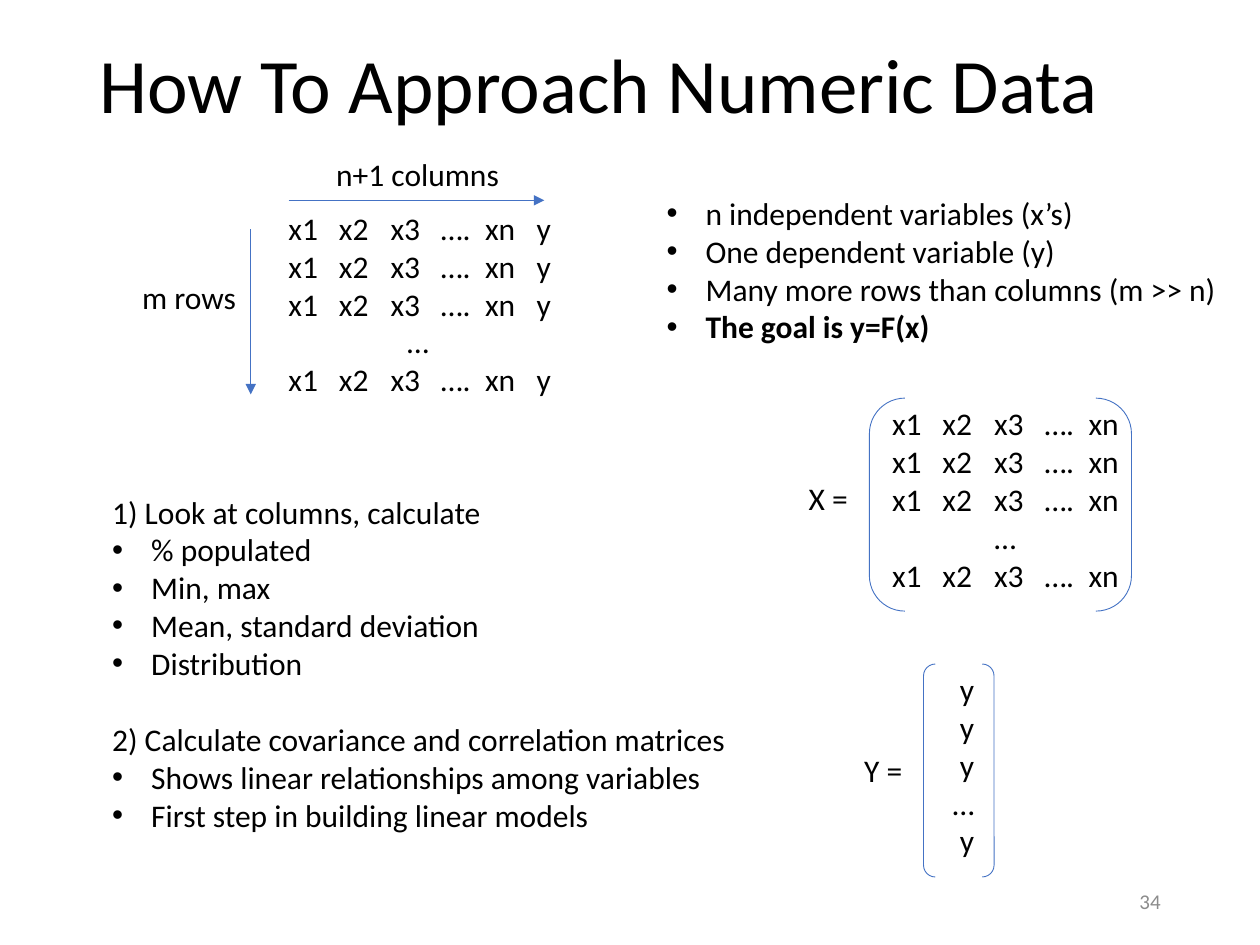
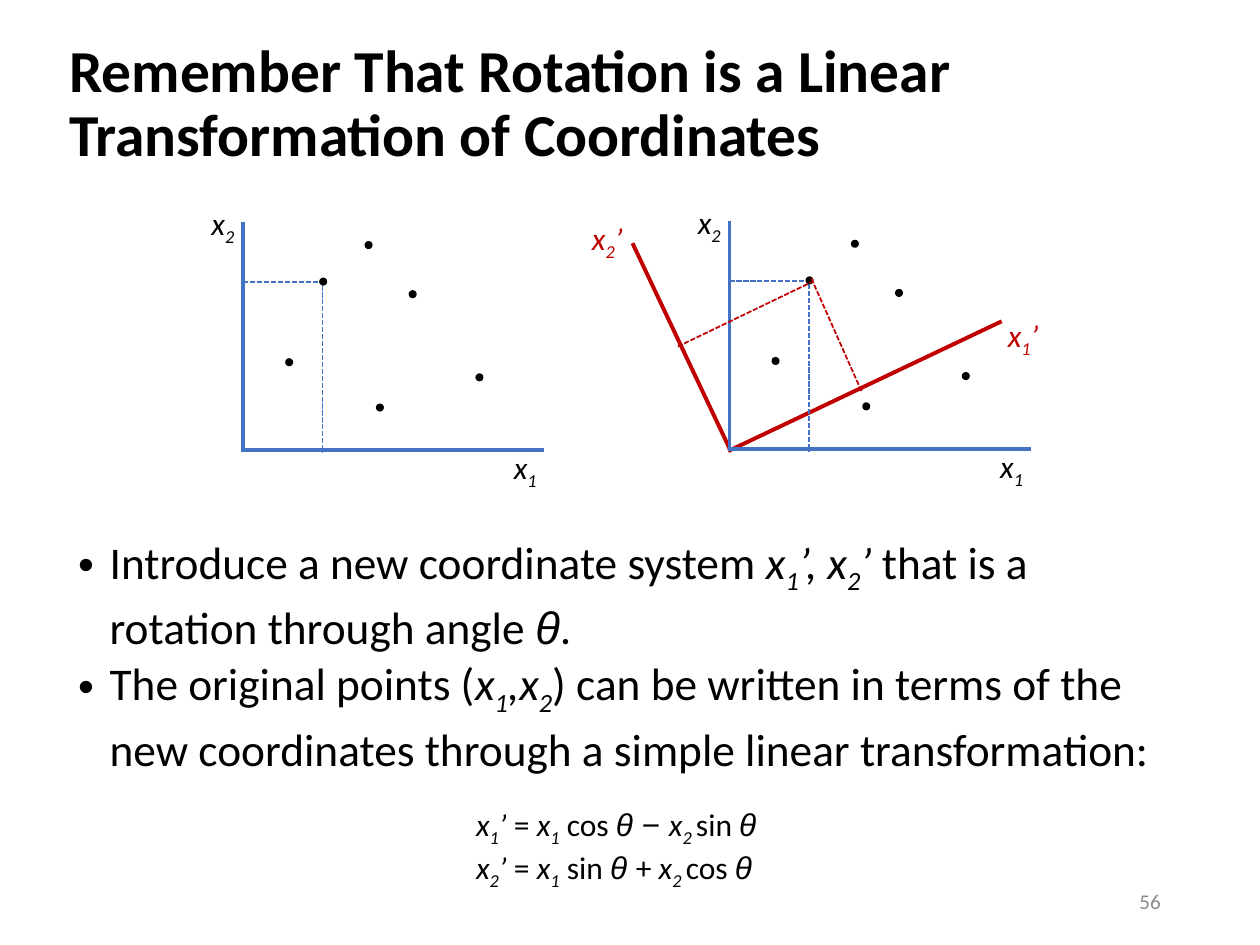
from dataclasses import dataclass

from lxml import etree
from pptx import Presentation
from pptx.dml.color import RGBColor
from pptx.enum.dml import MSO_LINE
from pptx.enum.shapes import MSO_CONNECTOR, MSO_SHAPE
from pptx.enum.text import MSO_ANCHOR, MSO_AUTO_SIZE, PP_ALIGN
from pptx.oxml.ns import qn
from pptx.util import Inches, Pt

STRAIGHT = MSO_CONNECTOR.STRAIGHT
DASH = MSO_LINE.SQUARE_DOT
DOT, BRACKET = MSO_SHAPE.OVAL, MSO_SHAPE.DOUBLE_BRACKET
MIDDLE, TOP = MSO_ANCHOR.MIDDLE, MSO_ANCHOR.TOP
FIT, FIXED = MSO_AUTO_SIZE.SHAPE_TO_FIT_TEXT, MSO_AUTO_SIZE.NONE
LEFT, MID, RIGHT = PP_ALIGN.LEFT, PP_ALIGN.CENTER, PP_ALIGN.RIGHT


@dataclass(frozen=True)
class Theme:
    """Colours, fonts and type sizes of both slides."""
    ink: RGBColor = RGBColor(0, 0, 0)
    gray: RGBColor = RGBColor(0x8C, 0x8C, 0x8C)
    blue: RGBColor = RGBColor(0x44, 0x72, 0xC4)
    red: RGBColor = RGBColor(0xC0, 0, 0)
    font: str = "Calibri"
    greek: str = "Arial"
    head: float = 44
    subhead: float = 34
    body: float = 25.9
    text: float = 18
    note: float = 12
    thin: float = 0.5
    fine: float = 1
    thick: float = 2.25


THEME = Theme()
TABS = (0.4, 0.81, 1.21, 1.56, 1.97)
POINTS = ((2.27, 2.85), (3.25, 2.31), (3.78, 2.97),
          (2.99, 3.21), (2.9, 1.92), (2.54, 2.21))


def place(shape, left, top, width, height):
    """Move and size a shape, in inches."""
    shape.left, shape.top = Inches(left), Inches(top)
    shape.width, shape.height = Inches(width), Inches(height)


def write(par, text, size=THEME.text, color=THEME.ink, align=LEFT):
    """Fill a paragraph; * toggles italic, ~ subscript, ^ Greek font, # bold."""
    par.alignment = align
    state = dict.fromkeys("*~^#", False)
    part = ""
    for char in text + "*":
        if char not in state:
            part += char
            continue
        if part:
            run = par.add_run()
            run.text = part
            font = run.font
            font.size, font.color.rgb = Pt(size), color
            font.name = THEME.greek if state["^"] else THEME.font
            font.italic, font.bold = state["*"], state["#"]
            if state["~"]:
                font._element.set("baseline", "-25000")
            part = ""
        state[char] = not state[char]


def fill(frame, lines, **style):
    """Write one paragraph for each line and return the paragraphs."""
    for line in lines[1:]:
        frame.add_paragraph()
    for par, line in zip(frame.paragraphs, lines):
        write(par, line, **style)
    return frame.paragraphs


def bullet(par, indent):
    """Give a paragraph a hanging bullet, or none when indent is 0."""
    props = par._p.get_or_add_pPr()
    props.set("marL", str(Inches(indent)))
    props.set("indent", str(-Inches(indent)))
    if indent:
        etree.SubElement(props, qn("a:buFont")).set("typeface", "Arial")
        etree.SubElement(props, qn("a:buChar")).set("char", "•")
    else:
        etree.SubElement(props, qn("a:buNone"))


def title(slide, text, box, size):
    """Set the title placeholder."""
    shape = slide.shapes.title
    place(shape, *box)
    frame = shape.text_frame
    frame.auto_size, frame.vertical_anchor = FIXED, MIDDLE
    frame.word_wrap = True
    fill(frame, [text], size=size)[0].line_spacing = 0.9


def bullets(shape, lines, box, indent=0.31, size=THEME.text):
    """Set a body placeholder; lines that start with a digit are headings."""
    place(shape, *box)
    frame = shape.text_frame
    frame.auto_size, frame.vertical_anchor = FIXED, TOP
    frame.word_wrap = True
    pars = fill(frame, lines, size=size)
    for par, line in zip(pars, lines):
        step = line[0].isdigit()
        par.space_before = Pt(22 if step and par is not pars[0] else 0)
        par.space_after = Pt(0)
        par.line_spacing = 1.0
        bullet(par, 0 if step else indent)
    pars[0].space_before = Pt(0)
    return pars


def label(slide, lines, box, **style):
    """Add an unwrapped text box that fits its text."""
    shape = slide.shapes.add_textbox(*map(Inches, box))
    frame = shape.text_frame
    frame.word_wrap, frame.auto_size = False, FIT
    fill(frame, lines, **style)


def number(slide, text):
    """Add the page number in the footer."""
    shape = slide.shapes.add_textbox(*map(Inches, (7.06, 6.95, 2.25, 0.4)))
    frame = shape.text_frame
    frame.word_wrap, frame.vertical_anchor = True, MIDDLE
    fill(frame, [text], size=THEME.note, color=THEME.gray, align=RIGHT)


def grid(slide, names, box):
    """Add matrix rows, with columns set on tab stops."""
    shape = slide.shapes.add_textbox(*map(Inches, box))
    frame = shape.text_frame
    frame.word_wrap, frame.margin_left = True, Inches(0.13)
    row = "\t".join(names)
    for par in fill(frame, [row, row, row, "… ", row]):
        if par.text == "… ":
            par.alignment = MID
            continue
        stops = etree.SubElement(par._p.get_or_add_pPr(), qn("a:tabLst"))
        for pos in TABS[:len(names) - 1]:
            stop = etree.SubElement(stops, qn("a:tab"))
            stop.set("pos", str(Inches(pos)))
            stop.set("algn", "l")


def line(slide, start, end, color=THEME.blue, width=THEME.thick,
         dash=False, arrow=False):
    """Draw a straight line, dashed or with an arrowhead if asked."""
    link = slide.shapes.add_connector(STRAIGHT, *map(Inches, start + end))
    link.line.color.rgb, link.line.width = color, Pt(width)
    if dash:
        link.line.dash_style = DASH
    if arrow:
        tail = etree.SubElement(link.line._get_or_add_ln(), qn("a:tailEnd"))
        tail.set("type", "triangle")
    etree.SubElement(link._element.spPr, qn("a:effectLst"))


def bracket(slide, box):
    """Draw a pair of matrix brackets."""
    shape = slide.shapes.add_shape(BRACKET, *map(Inches, box))
    shape.shadow.inherit = False
    shape.fill.background()
    shape.line.color.rgb, shape.line.width = THEME.blue, Pt(THEME.thin)


def dot(slide, left, top):
    """Draw one data point."""
    shape = slide.shapes.add_shape(
        DOT, *map(Inches, (left, top, 0.05, 0.05)))
    shape.shadow.inherit = False
    shape.fill.solid()
    shape.fill.fore_color.rgb = THEME.ink
    shape.line.color.rgb, shape.line.width = THEME.ink, Pt(THEME.fine)


def plot(slide, dx=0.0, dy=0.0):
    """Draw the blue axes, the projected point and the data points."""
    def at(left, top):
        return left + dx, top + dy

    line(slide, at(1.93, 1.76), at(1.93, 3.59))
    line(slide, at(1.92, 3.57), at(4.32, 3.57))
    label(slide, ["*x~2"], at(1.58, 1.57) + (0.4, 0.4))
    label(slide, ["*x~1"], at(3.98, 3.51) + (0.4, 0.4))
    for start, end in (((2.56, 2.21), (2.56, 3.59)),
                       ((1.93, 2.24), (2.59, 2.24))):
        line(slide, at(*start), at(*end), width=THEME.fine, dash=True)
    for point in POINTS:
        dot(slide, *at(*point))


def numeric(deck):
    """Build the slide on numeric data."""
    slide = deck.slides.add_slide(deck.slide_layouts[3])
    title(slide, "How To Approach Numeric Data",
          (0.69, -0.02, 8.62, 1.45), THEME.head)
    steps, facts = list(slide.placeholders)[1:3]
    bullets(steps, [
        "1) Look at columns, calculate", "% populated", "Min, max",
        "Mean, standard deviation", "Distribution",
        "2) Calculate covariance and correlation matrices",
        "Shows linear relationships among variables",
        "First step in building linear models"], (0.79, 3.86, 5.13, 2.83))
    bullets(facts, [
        "n independent variables (x’s)", "One dependent variable (y)",
        "Many more rows than columns (m >> n)", "#The goal is y=F(x)"],
        (5.19, 1.49, 4.61, 1.31))

    label(slide, ["n+1 columns"], (2.57, 1.18, 1.51, 0.4))
    line(slide, (2.29, 1.59), (4.32, 1.59), width=THEME.thin, arrow=True)
    label(slide, ["m rows"], (1.03, 2.16, 0.95, 0.4))
    line(slide, (1.99, 1.82), (1.99, 3.13), width=THEME.thin, arrow=True)

    names = ["x1", "x2", "x3", "….", "xn"]
    grid(slide, names + ["y"], (2.16, 1.61, 2.34, 1.62))
    grid(slide, names, (6.95, 3.16, 2.08, 1.62))
    label(slide, ["X ="], (6.32, 3.75, 0.52, 0.4))
    bracket(slide, (6.9, 3.16, 2.08, 1.69))
    label(slide, ["y", "y", "y", "… ", "y"], (7.46, 5.27, 0.43, 1.62),
          align=MID)
    label(slide, ["Y ="], (6.76, 5.91, 0.51, 0.4))
    bracket(slide, (7.33, 5.27, 0.56, 1.69))
    number(slide, "34")


def rotation(deck):
    """Build the slide on rotated coordinates."""
    slide = deck.slides.add_slide(deck.slide_layouts[1])
    title(slide, "#Remember That Rotation is a Linear "
          "Transformation of Coordinates", (0.45, 0.11, 9.48, 1.45),
          THEME.subhead)
    body = slide.placeholders[1]
    pars = bullets(body, [
        "Introduce a new coordinate system *x~1~’, x~2~’ *that is a "
        "rotation through angle *^θ^*.",
        "The original points (*x~1~,x~2~*) can be written in terms of the "
        "new coordinates through a simple linear transformation:"],
        (0.52, 4.27, 8.91, 1.92), 0.25, THEME.body)
    body.text_frame.margin_top = 0
    for par in pars:
        par.line_spacing, par.space_after = Pt(33), Pt(3.5)
    label(slide, ["*x~1~’ *= *x~1~* cos *^θ* − ^*x~2 ~*sin *^θ ",
                  "*x~2~’ *= *x~1~* sin *^θ ^*+ *x~2 ~*cos *^θ "],
          (3.68, 6.34, 2.59, 0.71))

    plot(slide)
    line(slide, (5.02, 1.93), (5.8, 3.58), THEME.red)
    line(slide, (5.78, 3.58), (7.95, 2.55), THEME.red)
    plot(slide, 3.86, -0.01)
    label(slide, ["*x~2~’"], (4.6, 1.69, 0.46, 0.4), color=THEME.red)
    label(slide, ["*x~1~’"], (7.9, 2.46, 0.46, 0.4), color=THEME.red)
    for start, end in (((6.44, 2.21), (6.84, 3.11)),
                       ((5.38, 2.75), (6.44, 2.24))):
        line(slide, start, end, THEME.red, THEME.fine, dash=True)
    number(slide, "56")


def main():
    """Build and save the deck."""
    deck = Presentation()
    deck.slide_width, deck.slide_height = Inches(10), Inches(7.5)
    numeric(deck)
    rotation(deck)
    deck.save("out.pptx")


if __name__ == "__main__":
    main()
